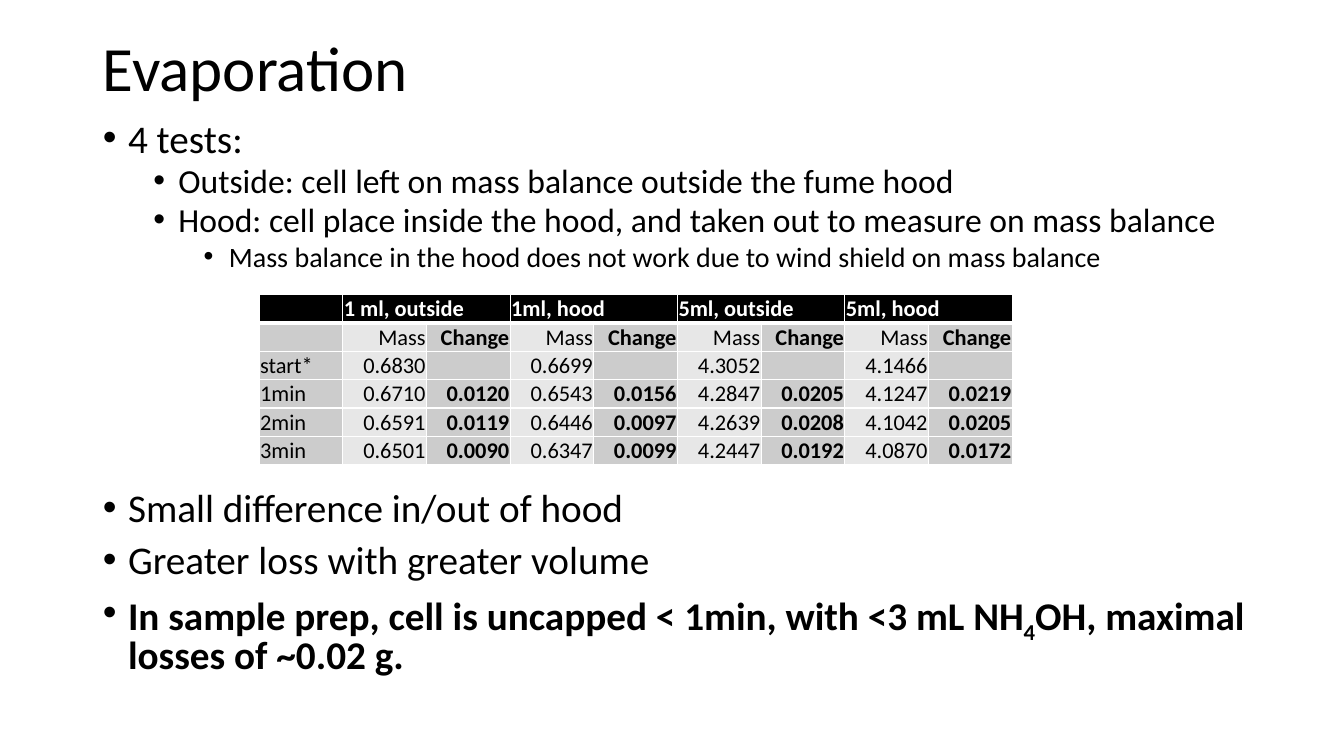
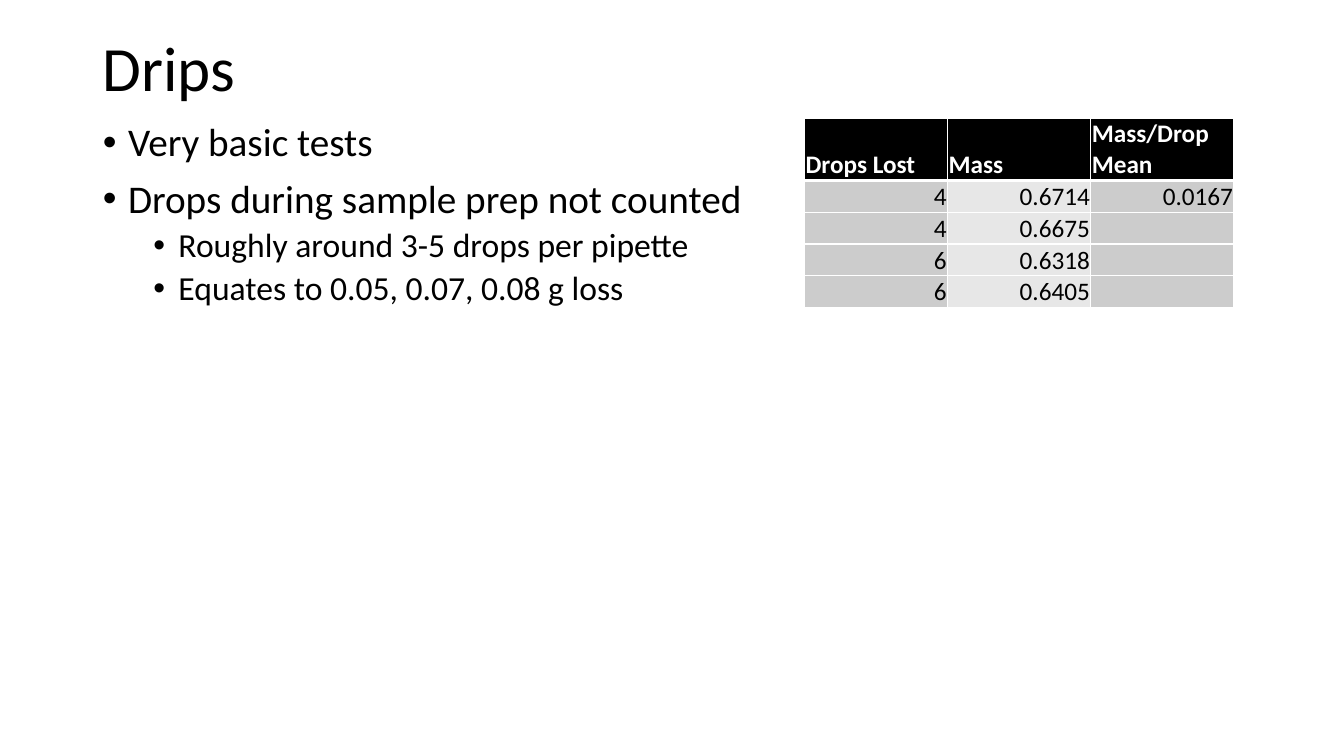
from lxml.etree import SubElement
from pptx import Presentation
from pptx.dml.color import RGBColor
from pptx.enum.text import MSO_ANCHOR as Anchor, MSO_AUTO_SIZE as AutoSize, PP_ALIGN as Align
from pptx.oxml.ns import qn
from pptx.util import Inches, Pt

FONT = "Calibri"
BLACK, WHITE, GREY, PALE = "000000", "FFFFFF", "CCCCCC", "E7E7E7"
TITLE_BOX = (0.92, 0.4, 11.5, 0.66)
BODY_BOX = (0.92, 1.17, 11.91, 6.02)
LEVEL_SIZES = (28, 24, 20)
LEVEL_GAPS = (10, 5, 5)
TABLE_GAP = 157


def colour(value):
    """Turn a hex string into a colour."""
    return RGBColor.from_string(value)


def set_font(para, size, shade=BLACK, bold=False):
    """Format all the text of a paragraph."""
    para.font.name = FONT
    para.font.size = Pt(size)
    para.font.bold = bold
    para.font.color.rgb = colour(shade)


def place(shape, box):
    """Move a shape to a box given in inches."""
    shape.left, shape.top, shape.width, shape.height = map(Inches, box)


def add_title(page, text, box):
    """Fill the title placeholder."""
    title = page.shapes.title
    place(title, box)
    frame = title.text_frame
    frame.text = text
    frame.auto_size = AutoSize.NONE
    frame.vertical_anchor = Anchor.BOTTOM
    para = frame.paragraphs[0]
    para.alignment = Align.LEFT
    para.line_spacing = 0.7
    set_font(para, 45)


def add_bullet(para, level):
    """Give a paragraph the round bullet and hanging indent of its level."""
    para.level = level
    props = para._p.get_or_add_pPr()
    props.set("marL", str(Inches(0.25 + 0.5 * level)))
    props.set("indent", str(Inches(-0.25)))
    SubElement(props, qn("a:buFont"), typeface="Arial")
    SubElement(props, qn("a:buChar"), char="•")


def add_body(page, items, box, line_spacing):
    """Fill the body placeholder with bulleted paragraphs."""
    body = page.placeholders[1]
    place(body, box)
    frame = body.text_frame
    frame.auto_size = AutoSize.NONE
    for index, (level, text) in enumerate(items):
        para = frame.paragraphs[0] if index == 0 else frame.add_paragraph()
        add_bullet(para, level)
        para.line_spacing = line_spacing
        para.space_before = Pt(LEVEL_GAPS[level])
        para.space_after = Pt(0)
        para.add_run().text = text
        set_font(para, LEVEL_SIZES[level])
    return frame


def add_borders(cell, is_header):
    """Draw white cell borders, with a thick one below the header."""
    props = cell._tc.get_or_add_tcPr()
    widths = {"lnL": 1, "lnR": 1, "lnT": 1, "lnB": 3 if is_header else 1}
    if not is_header:
        del widths["lnT"]
    for side, width in widths.items():
        line = SubElement(props, qn(f"a:{side}"), w=str(Pt(width)))
        fill = SubElement(line, qn("a:solidFill"))
        SubElement(fill, qn("a:srgbClr"), val=WHITE)


def format_cell(cell, text, size, is_header, is_left, is_bold, fill):
    """Write and style one table cell."""
    add_borders(cell, is_header)
    cell.fill.solid()
    cell.fill.fore_color.rgb = colour(BLACK if is_header else fill)
    cell.margin_left = cell.margin_right = cell.margin_top = Inches(0.01)
    cell.margin_bottom = 0
    cell.vertical_anchor = Anchor.BOTTOM
    para = cell.text_frame.paragraphs[0]
    if text:
        para.add_run().text = text
    para.alignment = Align.LEFT if is_left else Align.RIGHT
    set_font(para, size, WHITE if is_header else BLACK, is_bold)


def add_data_table(page, rows, origin, column_width, row_heights, size, labelled=False):
    """Add a table; a labelled one has row names and bold change columns."""
    left, top = origin
    count = len(rows[0])
    frame = page.shapes.add_table(
        len(rows), count, Inches(left), Inches(top),
        Inches(column_width * count), Inches(sum(row_heights)))
    table = frame.table
    table.horz_banding = False
    for column in table.columns:
        column.width = Inches(column_width)
    for r, (values, height) in enumerate(zip(rows, row_heights)):
        table.rows[r].height = Inches(height)
        for c, text in enumerate(values):
            is_header = r == 0
            is_change = labelled and c > 0 and c % 2 == 0
            is_left = is_header or (labelled and c == 0)
            format_cell(table.cell(r, c), text, size, is_header, is_left,
                        is_header or is_change, PALE if c % 2 else GREY)
    return table


def add_page(deck, title):
    """Add a slide with the shared title style."""
    page = deck.slides.add_slide(deck.slide_layouts[1])
    add_title(page, title, TITLE_BOX)
    return page


def build_evaporation(deck):
    """Build the slide about evaporation."""
    page = add_page(deck, "Evaporation")
    frame = add_body(page, [
        (0, "4 tests:"),
        (1, "Outside: cell left on mass balance outside the fume hood"),
        (1, "Hood: cell place inside the hood, and taken out to measure on mass balance"),
        (2, "Mass balance in the hood does not work due to wind shield on mass balance"),
        (0, "Small difference in/out of hood"),
        (0, "Greater loss with greater volume"),
        (0, "In sample prep, cell is uncapped < 1min, with <3 mL NH"),
    ], BODY_BOX, 0.8)
    frame.paragraphs[4].space_before = Pt(TABLE_GAP)
    conclusion = frame.paragraphs[-1]
    conclusion.font.bold = True
    subscript = conclusion.add_run()
    subscript.text = "4"
    subscript._r.get_or_add_rPr().set("baseline", "-25000")
    conclusion.add_run().text = "OH, maximal losses of ~0.02 g."

    rows = [
        ["", "1 ml, outside", "", "1ml, hood", "", "5ml, outside", "", "5ml, hood", ""],
        [""] + ["Mass", "Change"] * 4,
        ["start*", "0.6830", "", "0.6699", "", "4.3052", "", "4.1466", ""],
        ["1min", "0.6710", "0.0120", "0.6543", "0.0156", "4.2847", "0.0205", "4.1247", "0.0219"],
        ["2min", "0.6591", "0.0119", "0.6446", "0.0097", "4.2639", "0.0208", "4.1042", "0.0205"],
        ["3min", "0.6501", "0.0090", "0.6347", "0.0099", "4.2447", "0.0192", "4.0870", "0.0172"],
    ]
    table = add_data_table(page, rows, (2.57, 2.92), 0.83, [0.28] * 6, 16, labelled=True)
    for c in range(1, 9, 2):
        table.cell(0, c).merge(table.cell(0, c + 1))


def build_drips(deck):
    """Build the slide about drips."""
    page = add_page(deck, "Drips")
    add_body(page, [
        (0, "Very basic tests"),
        (0, "Drops during sample prep not counted"),
        (1, "Roughly around 3-5 drops per pipette"),
        (1, "Equates to 0.05, 0.07, 0.08 g loss"),
    ], BODY_BOX, 0.9)
    rows = [
        ["Drops Lost", "Mass", "Mass/Drop Mean"],
        ["4", "0.6714", "0.0167"],
        ["4", "0.6675", ""],
        ["6", "0.6318", ""],
        ["6", "0.6405", ""],
    ]
    add_data_table(page, rows, (7.98, 1.17), 1.42, [0.62] + [0.31] * 4, 18)


def main():
    """Build and save the deck."""
    deck = Presentation()
    deck.slide_width, deck.slide_height = Inches(13.33), Inches(7.5)
    build_evaporation(deck)
    build_drips(deck)
    deck.save("out.pptx")


if __name__ == "__main__":
    main()
